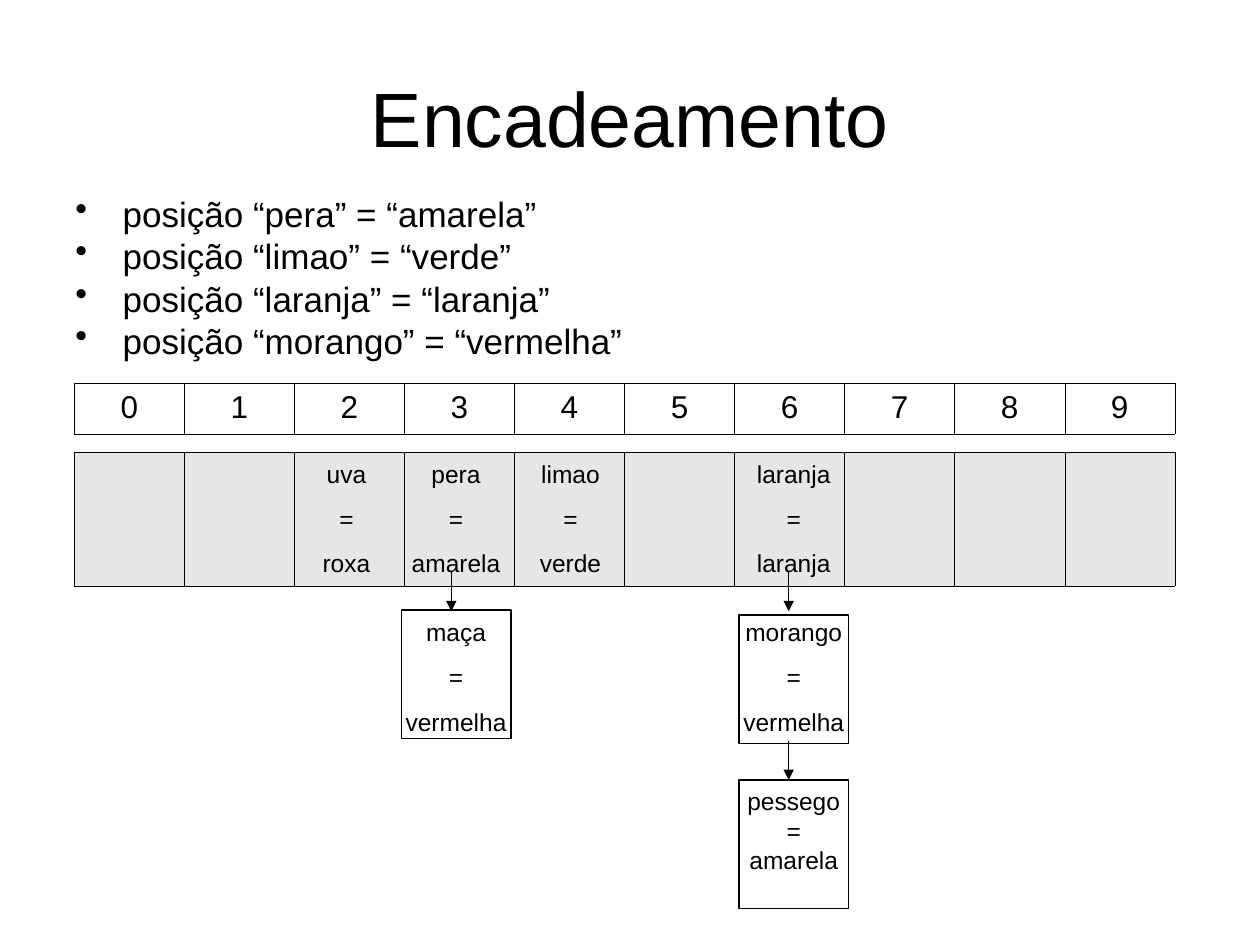
from lxml.etree import SubElement
from pptx import Presentation
from pptx.dml.color import RGBColor
from pptx.enum.shapes import MSO_CONNECTOR, MSO_SHAPE
from pptx.enum.text import MSO_ANCHOR, MSO_AUTO_SIZE, PP_ALIGN
from pptx.oxml.ns import qn
from pptx.util import Pt

BLACK = RGBColor(0, 0, 0)
WHITE = RGBColor(255, 255, 255)
GRAY = RGBColor(0xE6, 0xE6, 0xE6)


class SlideBuilder:
    font = "Arial"
    line_width = 0.75
    border_width = 0.06

    def __init__(self, page):
        self.page = page

    def add_span(self, para, text, size):
        span = para.add_run()
        span.text = text
        span.font.name = self.font
        span.font.size = Pt(size)
        span.font.color.rgb = BLACK

    def title(self, text, left, top, width, height):
        box = self.page.shapes.title
        box.left, box.top, box.width, box.height = Pt(left), Pt(top), Pt(width), Pt(height)
        frame = box.text_frame
        frame.vertical_anchor = MSO_ANCHOR.MIDDLE
        frame.paragraphs[0].alignment = PP_ALIGN.CENTER
        self.add_span(frame.paragraphs[0], text, 44)

    def paragraphs(self, lines, left, top, width, height, size, space):
        box = self.page.shapes.add_textbox(Pt(left), Pt(top), Pt(width), Pt(height))
        frame = box.text_frame
        frame.word_wrap = True
        for index, line in enumerate(lines):
            para = frame.paragraphs[0] if index == 0 else frame.add_paragraph()
            para.space_before = Pt(space)
            self.add_span(para, line, size)
        return frame

    def bullets(self, lines, left, top, width, height):
        frame = self.paragraphs(lines, left, top, width, height, 20, 5)
        for para in frame.paragraphs:
            para.line_spacing = 0.8
            properties = para._p.get_or_add_pPr()
            properties.set("marL", str(Pt(27)))
            properties.set("indent", str(Pt(-27)))
            SubElement(properties, qn("a:buChar")).set("char", "•")

    def entry(self, lines, center, top, height=75.6, space=8.8):
        width = 73.4
        frame = self.paragraphs(lines, center - width / 2, top, width, height, 14, space)
        frame.auto_size = MSO_AUTO_SIZE.SHAPE_TO_FIT_TEXT
        for para in frame.paragraphs:
            para.alignment = PP_ALIGN.CENTER

    def node(self, left, top):
        box = self.page.shapes.add_shape(MSO_SHAPE.RECTANGLE, Pt(left), Pt(top), Pt(62.6), Pt(73.4))
        box.shadow.inherit = False
        box.fill.solid()
        box.fill.fore_color.rgb = WHITE
        box.line.color.rgb = BLACK
        box.line.width = Pt(self.line_width)

    def arrow(self, left, top):
        line = self.page.shapes.add_connector(
            MSO_CONNECTOR.STRAIGHT, Pt(left), Pt(top), Pt(left), Pt(top + 22.3))
        line.line.color.rgb = BLACK
        line.line.width = Pt(self.line_width)
        SubElement(line.line._get_or_add_ln(), qn("a:tailEnd")).set("type", "triangle")
        SubElement(line._element.spPr, qn("a:effectLst"))

    def border(self, cell):
        properties = cell._tc.get_or_add_tcPr()
        for position, side in enumerate(("lnL", "lnR", "lnT", "lnB")):
            edge = SubElement(properties, qn(f"a:{side}"))
            edge.set("w", str(Pt(self.border_width)))
            fill = SubElement(edge, qn("a:solidFill"))
            SubElement(fill, qn("a:srgbClr")).set("val", str(BLACK))
            properties.remove(edge)
            properties.insert(position, edge)

    def row(self, labels, left, top, width, height, fill=None):
        table = self.page.shapes.add_table(
            1, len(labels), Pt(left), Pt(top), Pt(width), Pt(height)).table
        table.first_row = False
        table.horz_banding = False
        for column, label in enumerate(labels):
            table.columns[column].width = Pt(width / len(labels))
            cell = table.cell(0, column)
            cell.margin_left = cell.margin_right = Pt(3)
            if fill is None:
                cell.fill.background()
            else:
                cell.fill.solid()
                cell.fill.fore_color.rgb = fill
            self.border(cell)
            if label:
                para = cell.text_frame.paragraphs[0]
                para.alignment = PP_ALIGN.CENTER
                para.space_before = Pt(4.5)
                self.add_span(para, label, 18)


def main():
    deck = Presentation()
    deck.slide_width, deck.slide_height = Pt(720), Pt(540)
    page = deck.slides.add_slide(deck.slide_layouts[5])
    builder = SlideBuilder(page)

    builder.title("Encadeamento", 36, 21.6, 648, 90)
    builder.bullets([
        "posição “pera” = “amarela”",
        "posição “limao” = “verde”",
        "posição “laranja” = “laranja”",
        "posição “morango” = “vermelha”",
    ], 36, 111, 648, 104.4)

    row_top, chain_top, last_top = 258.6, 349.2, 445.7
    builder.row([""] * 10, 42.5, row_top, 628.9, 76.2, GRAY)
    builder.row([str(number) for number in range(10)], 42.5, 219, 628.9, 28)

    pera_center, laranja_center = 260.6, 453.6
    for fruit, color, center in (
        ("uva", "roxa", 198),
        ("pera", "amarela", pera_center),
        ("limao", "verde", 326),
        ("laranja", "laranja", laranja_center),
    ):
        builder.entry([fruit, "=", color], center, row_top)

    for left, top in ((229.4, 348.5), (422.4, 351.5), (422.4, last_top)):
        builder.node(left, top)
    builder.entry(["maça", "=", "vermelha"], pera_center, chain_top)
    builder.entry(["morango", "=", "vermelha"], laranja_center, chain_top)
    builder.entry(["pessego", "=", "amarela"], laranja_center, last_top, 57.6, 0)

    for left, top in ((257.9, 327), (450.7, 327), (450.7, 423.4)):
        builder.arrow(left, top)

    deck.save("out.pptx")


if __name__ == "__main__":
    main()
